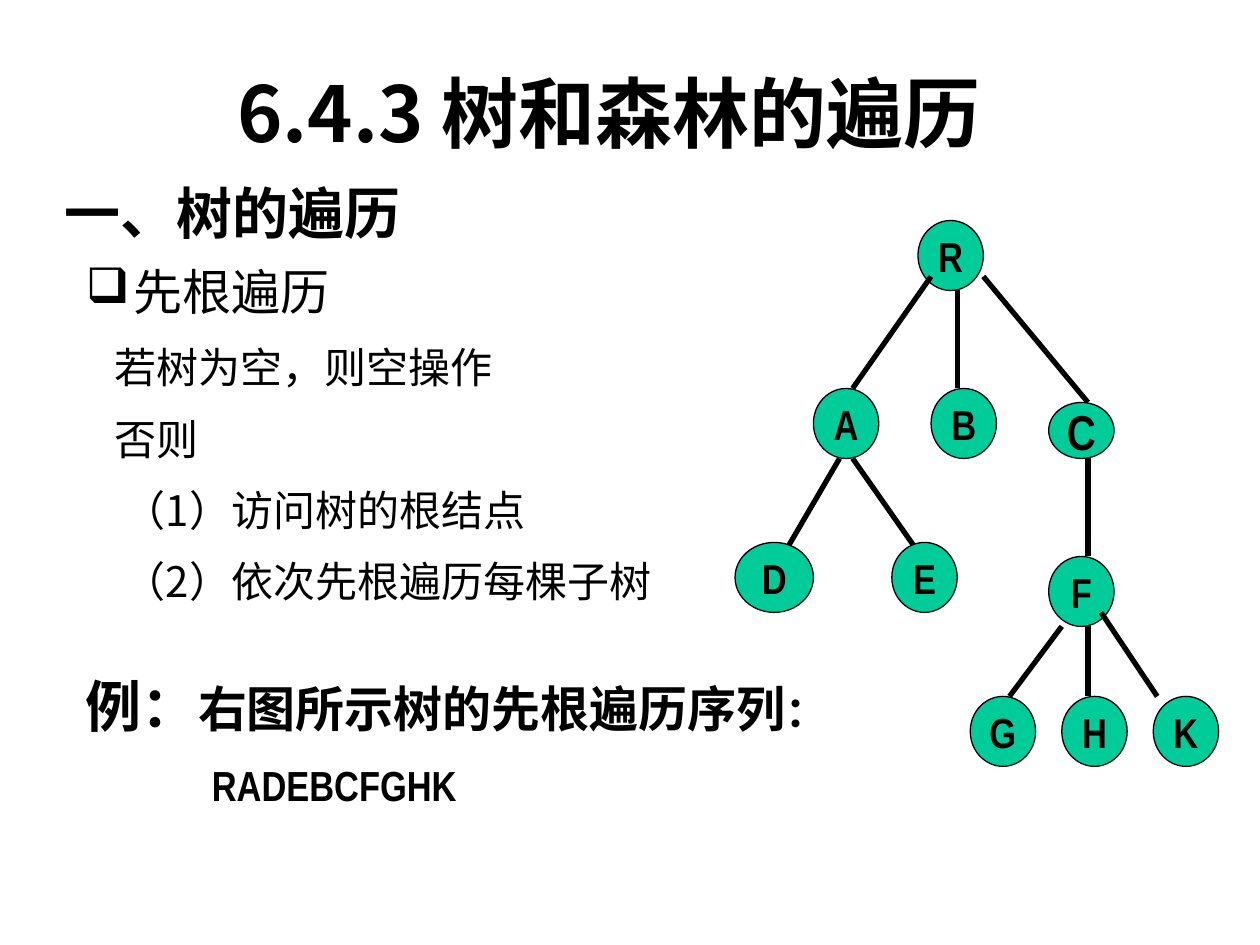
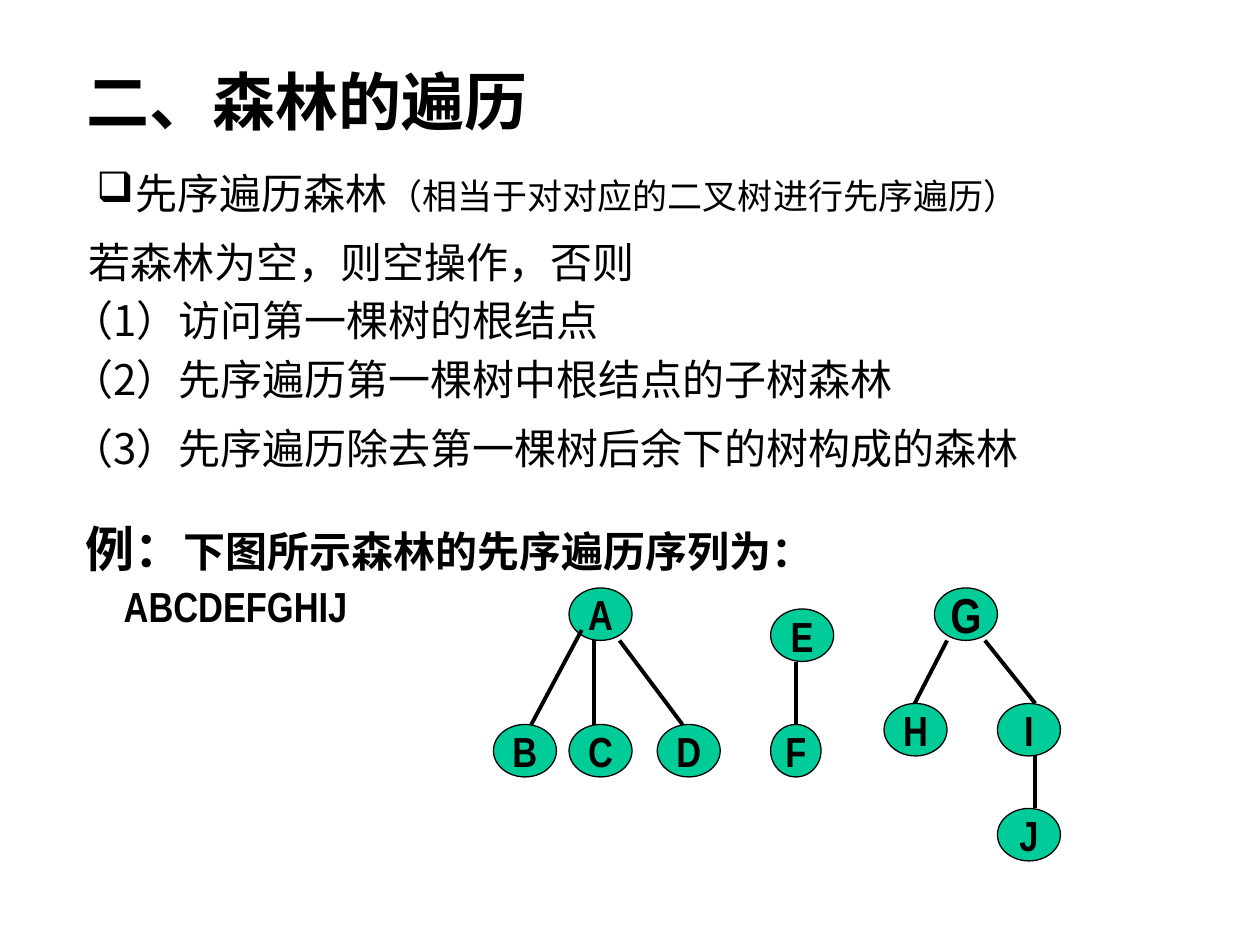
import pptx
import pptx.dml.color
import pptx.enum.shapes
import pptx.enum.text
import pptx.oxml.ns
import pptx.oxml.xmlchemy
import pptx.util
from lxml import etree

Pt = pptx.util.Pt
Inches = pptx.util.Inches
Anchor = pptx.enum.text.MSO_ANCHOR
Align = pptx.enum.text.PP_ALIGN
color = pptx.dml.color.RGBColor.from_string
qn = pptx.oxml.ns.qn

BLACK, GREEN = "000000", "00CC99"
SANS, NARROW, SERIF = "Noto Sans CJK SC", "Arial Narrow", "Times New Roman"
BULLET = "❑"

deck = pptx.Presentation()
deck.slide_width, deck.slide_height = Inches(10), Inches(7.5)
COLUMN = deck.slide_width / 120
ROW = deck.slide_height / 90


def style_span(span, size, font, bold):
    span.font.size, span.font.name, span.font.bold = Pt(size), font, bold
    span.font.color.rgb = color(BLACK)
    east_asian = etree.SubElement(span.font._element, qn("a:ea"))
    east_asian.set("typeface", SANS)


def fill_text(box, place, paragraphs, leading=1.2, gap=0.5, bold=False):
    """Place a box on the 120 by 90 grid and write its paragraphs.

    A paragraph is (left margin in inches, hanging bullet width, line size, spans),
    a span (text, size, font). Leading and gap are shares of the line size.
    """
    left, top, width, height = place
    box.left, box.top = round(left * COLUMN), round(top * ROW)
    box.width, box.height = round(width * COLUMN), round(height * ROW)
    frame = box.text_frame
    frame.word_wrap = True
    frame.auto_size = pptx.enum.text.MSO_AUTO_SIZE.NONE
    frame.vertical_anchor = Anchor.TOP
    frame.margin_top = Inches(0.08)
    for index, (margin, hang, line_size, spans) in enumerate(paragraphs):
        para = frame.add_paragraph() if index else frame.paragraphs[0]
        para.alignment = Align.LEFT
        para.line_spacing = Pt(leading * line_size)
        para.space_before = Pt(gap * line_size)
        for text, size, font in spans:
            span = para.add_run()
            span.text = text
            style_span(span, size, font, bold)
        properties = para._p.get_or_add_pPr()
        properties.set("marL", str(Inches(margin)))
        properties.set("indent", str(-Inches(hang)))
        if hang:
            etree.SubElement(properties, qn("a:buChar")).set("char", BULLET)


# Slide texts
title_only = deck.slide_layouts[5]
tree_slide = deck.slides.add_slide(title_only)
title = tree_slide.shapes.title
fill_text(title, (7, 3, 102, 15), [(0, 0, 44, [("6.4.3 树和森林的遍历", 44, SANS)])], bold=True)
title.text_frame.vertical_anchor = Anchor.MIDDLE
title.text_frame.paragraphs[0].alignment = Align.CENTER

forest_slide = deck.slides.add_slide(title_only)
fill_text(forest_slide.shapes.title, (7, 5, 63, 8.4),
          [(0, 0, 36, [("二、森林的遍历", 36, SERIF)])], bold=True)

text_boxes = [
    (tree_slide, (5, 16, 35, 7.5), 1.2, 0.5, True, [
        (0, 0, 32, [("一、树的遍历", 32, NARROW)])]),
    (tree_slide, (7, 24, 64, 36), 1.2, 0.5, False, [
        (0.38, 0.38, 28, [("先根遍历", 28, SANS)]),
        (0.23, 0, 24, [("若树为空，则空操作", 24, SANS)]),
        (0.23, 0, 24, [("否则", 24, SANS)]),
        (0.3, 0, 24, [("（1）访问树的根结点", 24, SANS)]),
        (0.3, 0, 24, [("（2）依次先根遍历每棵子树", 24, SANS)])]),
    (tree_slide, (7, 63, 70, 14.8), 1.2, 0.5, True, [
        (0, 0, 32, [("例：", 32, SERIF), ("右图所示树的先根遍历序列", 28, SERIF),
                    ("：", 24, SERIF)]),
        (1, 0, 24, [("RADEBCFGHK", 24, NARROW)])]),
    (forest_slide, (2, 15, 116, 37), 1.2, 0.2, False, [
        (0.81, 0.31, 24, [("先序遍历森林", 24, SANS),
                          ("（相当于对对应的二叉树进行先序遍历）", 20, SANS)]),
        (0.44, 0, 28, [("若森林为空，则空操作，否则", 24, SANS)]),
        (0.3, 0, 24, [("（1）访问第一棵树的根结点", 24, SANS)]),
        (0.3, 0, 24, [("（2）先序遍历第一棵树中根结点的子树森林", 24, SANS)]),
        (0.3, 0, 28, [("（3）先序遍历除去第一棵树后余下的树构成的森林", 24, SANS)])]),
    (forest_slide, (7, 49, 81, 14), 1.08, 0.2, True, [
        (0, 0, 28, [("例：", 28, SANS), ("下图所示森林的先序遍历序列为：", 24, SANS)]),
        (0.3, 0, 24, [("ABCDEFGHIJ", 24, NARROW)])]),
]
for slide, place, leading, gap, bold, paragraphs in text_boxes:
    box = slide.shapes.add_textbox(0, 0, 0, 0)
    fill_text(box, place, paragraphs, leading, gap, bold)

# Trees: slide, origin, cell size, edge width, usual node size, nodes
# Node: label, column, row, edge from its parent (x1, y1, x2, y2) in tree cells
trees = [
    (tree_slide, (70, 21), (1.245, 1.333), 3, [
        ("R", 14, 0, None),
        ("A", 6, 12, (15, 4, 9, 12)),
        ("B", 15, 12, (17, 5, 17, 12)),
        ("C", 24, 13, (19, 4, 27, 13)),
        ("D", 0, 23, (8, 17, 3, 25)),
        ("E", 12, 23, (9, 17, 15, 25)),
        ("F", 24, 24, (27, 17, 27, 24)),
        ("G", 18, 34, (25, 29, 21, 34)),
        ("H", 25, 34, (27, 29, 27, 34)),
        ("K", 32, 34, (28, 28, 32.3, 34))],
     {"C": (5, 4, 28), "D": (6, 5, 24)}),
    (forest_slide, (47, 56), (1.2, 1), 2.25, [
        ("A", 6, 0, None),
        ("B", 0, 13, (7, 4, 3, 13)),
        ("C", 6, 13, (8, 5, 8, 13)),
        ("D", 13, 13, (10, 5, 15, 13)),
        ("E", 22, 2, None),
        ("F", 22, 13, (24, 7, 24, 13)),
        ("G", 35, 0, None),
        ("H", 31, 11, (36, 5, 33, 12)),
        ("I", 40, 11, (39, 5, 43, 11)),
        ("J", 40, 21, (43, 16, 43, 21))],
     {"F": (4, 5, 24), "G": (5, 5, 28)}),
]
for slide, origin, cell, edge_width, nodes, special_sizes in trees:
    cell_width, cell_height = cell[0] * COLUMN, cell[1] * ROW
    left, top = origin[0] * COLUMN, origin[1] * ROW
    group = slide.shapes.add_group_shape()
    for label, column, row, edge in nodes:
        if edge:
            x1, y1, x2, y2 = edge
            line = group.shapes.add_connector(
                pptx.enum.shapes.MSO_CONNECTOR.STRAIGHT,
                round(left + x1 * cell_width), round(top + y1 * cell_height),
                round(left + x2 * cell_width), round(top + y2 * cell_height))
            line.line.color.rgb = color(BLACK)
            line.line.width = Pt(edge_width)
            etree.SubElement(line._element.spPr, qn("a:effectLst"))
        width, height, size = special_sizes.get(label, (5, 5, 24))
        node = group.shapes.add_shape(
            pptx.enum.shapes.MSO_SHAPE.OVAL,
            round(left + column * cell_width), round(top + row * cell_height),
            round(width * cell_width), round(height * cell_height))
        node.shadow.inherit = False
        node.fill.solid()
        node.fill.fore_color.rgb = color(GREEN)
        node.line.color.rgb = color(BLACK)
        node.line.width = Pt(0.75)
        frame = node.text_frame
        frame.text = label
        frame.word_wrap = False
        frame.vertical_anchor = Anchor.MIDDLE
        frame.paragraphs[0].alignment = Align.CENTER
        style_span(frame.paragraphs[0].runs[0], size, NARROW, True)

deck.save("out.pptx")
